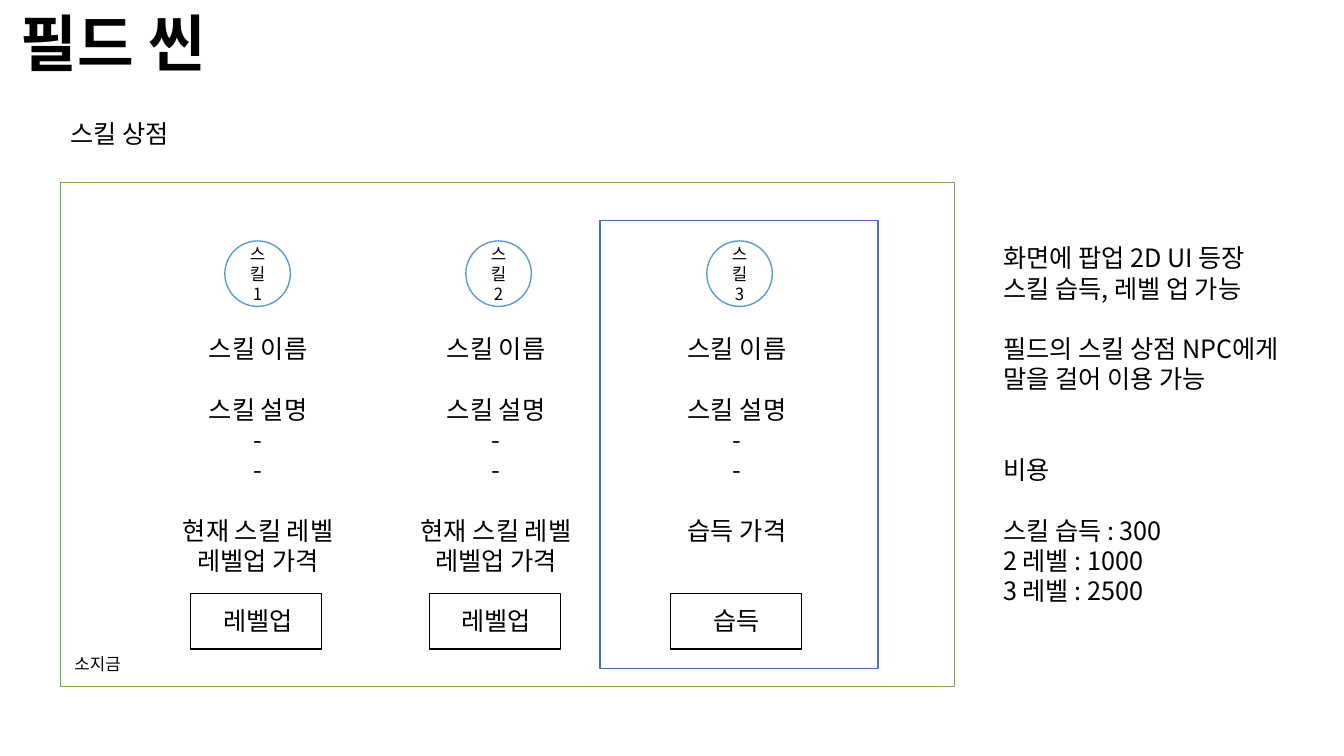
from dataclasses import dataclass
from typing import NamedTuple

from lxml.etree import SubElement
from pptx import Presentation
from pptx.dml.color import RGBColor
from pptx.enum.shapes import MSO_SHAPE
from pptx.enum.text import MSO_ANCHOR, MSO_AUTO_SIZE, PP_ALIGN
from pptx.oxml.ns import qn
from pptx.shapes.base import BaseShape
from pptx.slide import Slide
from pptx.text.text import TextFrame
from pptx.util import Emu, Pt

EMU_PER_PX = 9144  # 100 px to the inch


@dataclass(frozen=True)
class Theme:
    font: str = "Noto Sans CJK KR"
    title_font: str = "Arial"
    ink: str = "000000"
    paper: str = "FFFFFF"
    shop_line: str = "70AD47"
    icon_line: str = "5B9BD5"
    highlight_line: str = "4472C4"
    title_size: int = 44
    body_size: int = 18
    small_size: int = 12
    line_width: int = 1
    gap: float = 21.6  # one empty body line, in points


THEME = Theme()


class Box(NamedTuple):
    left: int
    top: int
    width: int
    height: int


class Line(NamedTuple):
    text: str
    gaps: int = 0  # empty lines above


@dataclass(frozen=True)
class Skill:
    name: str
    icon_left: int
    button_left: int
    text_left: int
    text_width: int
    details: tuple[Line, ...]


DESCRIPTION = (Line("스킬 이름"), Line("스킬 설명", 1), Line("-"), Line("-"))
OWNED = (*DESCRIPTION, Line("현재 스킬 레벨", 1), Line("레벨업 가격"), Line("레벨업", 1))
NEW = (*DESCRIPTION, Line("습득 가격", 1), Line("습득", 2))

SKILLS = (
    Skill("스킬 1", 223, 189, 161, 190, OWNED),
    Skill("스킬 2", 462, 426, 397, 190, OWNED),
    Skill("스킬 3", 701, 665, 666, 130, NEW),
)

NOTES = (
    Line("화면에 팝업 2D UI 등장"),
    Line("스킬 습득, 레벨 업 가능"),
    Line("필드의 스킬 상점 NPC에게", 1),
    Line("말을 걸어 이용 가능"),
    Line("비용", 2),
    Line("스킬 습득 : 300", 1),
    Line("2 레벨 : 1000"),
    Line("3 레벨 : 2500"),
)


def px(length: int) -> Emu:
    return Emu(length * EMU_PER_PX)


def write_lines(frame: TextFrame, lines: tuple[Line, ...], *, size: int = THEME.body_size,
                font: str = THEME.font, bold: bool = False,
                align: PP_ALIGN = PP_ALIGN.LEFT) -> None:
    for index, line in enumerate(lines):
        paragraph = frame.paragraphs[0] if index == 0 else frame.add_paragraph()
        paragraph.alignment = align
        if line.gaps:
            paragraph.space_before = Pt(line.gaps * THEME.gap)
        run = paragraph.add_run()
        run.text = line.text
        run.font.size = Pt(size)
        run.font.bold = bold
        run.font.color.rgb = RGBColor.from_string(THEME.ink)
        run.font.name = font
        SubElement(run.font._element, qn("a:ea"), typeface=THEME.font)


def add_text(slide: Slide, box: Box, *lines: Line, size: int = THEME.body_size,
             font: str = THEME.font, bold: bool = False,
             align: PP_ALIGN = PP_ALIGN.LEFT) -> None:
    frame = slide.shapes.add_textbox(*map(px, box)).text_frame
    frame.word_wrap = False
    frame.auto_size = MSO_AUTO_SIZE.SHAPE_TO_FIT_TEXT
    write_lines(frame, lines, size=size, font=font, bold=bold, align=align)


def add_outline(slide: Slide, box: Box, line_color: str, *, filled: bool = True,
                kind: MSO_SHAPE = MSO_SHAPE.RECTANGLE) -> BaseShape:
    shape = slide.shapes.add_shape(kind, *map(px, box))
    shape.shadow.inherit = False
    if filled:
        shape.fill.solid()
        shape.fill.fore_color.rgb = RGBColor.from_string(THEME.paper)
    else:
        shape.fill.background()
    shape.line.color.rgb = RGBColor.from_string(line_color)
    shape.line.width = Pt(THEME.line_width)
    return shape


def add_skill(slide: Slide, skill: Skill) -> None:
    icon = add_outline(slide, Box(skill.icon_left, 239, 65, 65), THEME.icon_line,
                       kind=MSO_SHAPE.OVAL)
    icon.text_frame.word_wrap = True
    icon.text_frame.vertical_anchor = MSO_ANCHOR.MIDDLE
    write_lines(icon.text_frame, (Line(skill.name),), size=THEME.small_size,
                align=PP_ALIGN.CENTER)
    add_outline(slide, Box(skill.button_left, 589, 130, 55), THEME.ink)
    add_text(slide, Box(skill.text_left, 326, skill.text_width, 313), *skill.details,
             align=PP_ALIGN.CENTER)


def main() -> None:
    presentation = Presentation()
    presentation.slide_width, presentation.slide_height = px(1333), px(750)
    slide = presentation.slides.add_slide(presentation.slide_layouts[6])

    # Headings
    add_text(slide, Box(11, 0, 227, 84), Line("필드 씬"), size=THEME.title_size,
             font=THEME.title_font, bold=True)
    add_text(slide, Box(60, 112, 130, 40), Line("스킬 상점"))

    # Skill shop window
    add_outline(slide, Box(60, 181, 887, 500), THEME.shop_line)
    for skill in SKILLS:
        add_skill(slide, skill)
    add_outline(slide, Box(595, 219, 276, 444), THEME.highlight_line, filled=False)
    add_text(slide, Box(64, 644, 71, 30), Line("소지금"), size=THEME.small_size)

    # Notes and costs
    add_text(slide, Box(985, 236, 324, 374), *NOTES)

    presentation.save("out.pptx")


if __name__ == "__main__":
    main()
